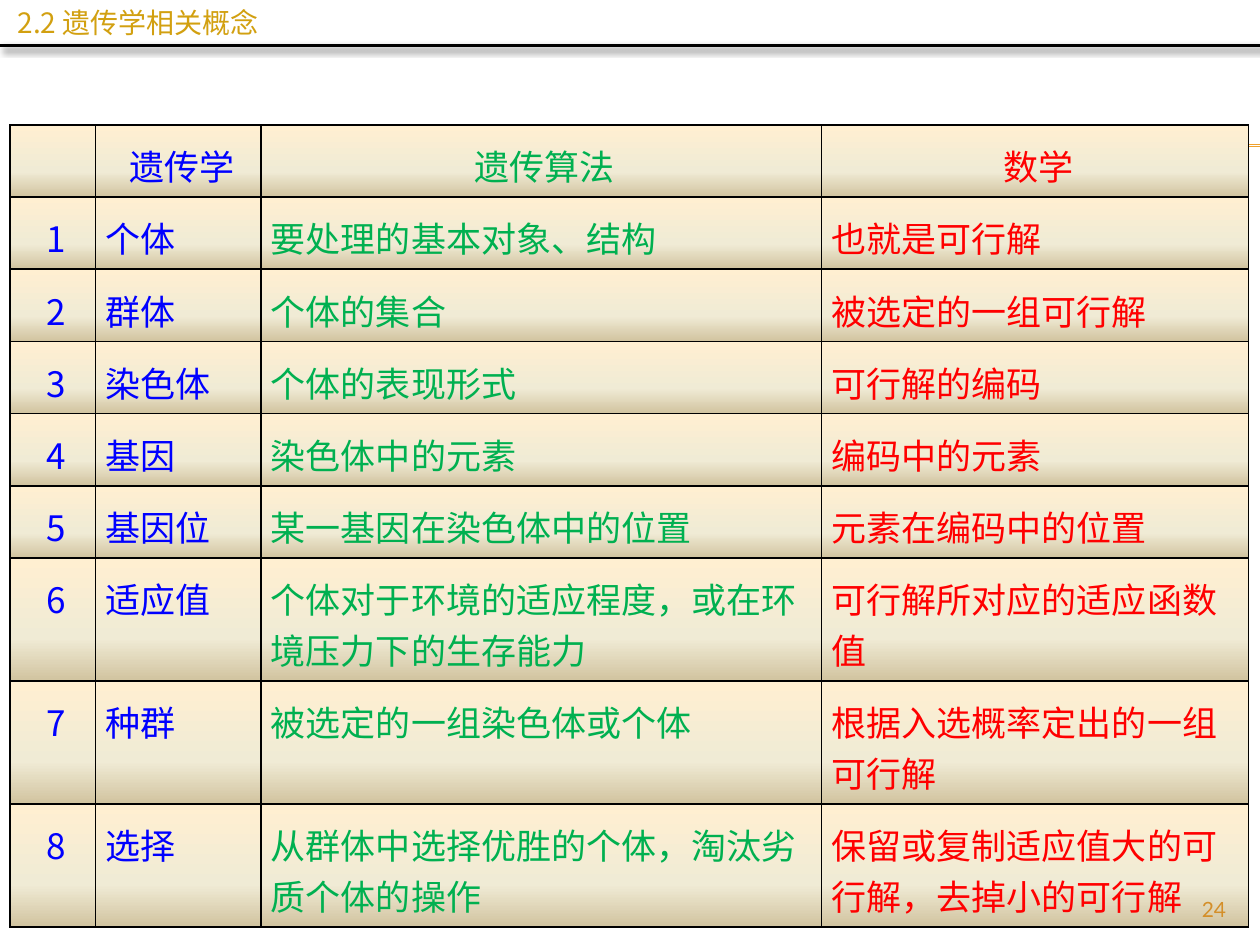
from dataclasses import dataclass

from lxml.etree import SubElement
from pptx import Presentation
from pptx.dml.color import RGBColor
from pptx.enum.shapes import MSO_CONNECTOR as Connector
from pptx.enum.text import MSO_ANCHOR as Anchor, MSO_AUTO_SIZE as AutoSize, PP_ALIGN as Align
from pptx.oxml.ns import qn
from pptx.util import Emu, Inches, Pt

WIDTH, HEIGHT = Inches(10), Inches(7.5)
CELL_FONT, TITLE_FONT, NUMBER_FONT = "Noto Sans CJK SC", "Noto Sans CJK JP", "Lato"

BLACK = RGBColor(0x00, 0x00, 0x00)
BLUE = RGBColor(0x00, 0x00, 0xFF)
GREEN = RGBColor(0x00, 0xB0, 0x50)
RED = RGBColor(0xFF, 0x00, 0x00)
GOLD = RGBColor(0xD2, 0xA0, 0x10)
OCHRE = RGBColor(0xD4, 0x8F, 0x29)
ORANGE = RGBColor(0xF0, 0xA2, 0x2E)
# Position in percent and colour of each stop, from top to bottom of a cell
CELL_GRADIENT = (
    (0, RGBColor(0xFF, 0xEF, 0xD1)),
    (65, RGBColor(0xF0, 0xEB, 0xD5)),
    (100, RGBColor(0xD1, 0xC3, 0x9F)),
)


@dataclass(frozen=True)
class Column:
    heading: str
    share: float  # of the slide's width
    color: RGBColor
    align: Align = Align.LEFT


@dataclass(frozen=True)
class Rule:
    left: float  # shares of the slide's size
    top: float
    color: RGBColor
    weight: float
    shadow: bool = False


COLUMNS = (
    Column("", 0.068, BLUE, Align.CENTER),
    Column("遗传学", 0.131, BLUE),
    Column("遗传算法", 0.445, GREEN),
    Column("数学", 0.339, RED),
)
CONCEPTS = (
    ("个体", "要处理的基本对象、结构", "也就是可行解"),
    ("群体", "个体的集合", "被选定的一组可行解"),
    ("染色体", "个体的表现形式", "可行解的编码"),
    ("基因", "染色体中的元素", "编码中的元素"),
    ("基因位", "某一基因在染色体中的位置", "元素在编码中的位置"),
    ("适应值", "个体对于环境的适应程度，或在环境压力下的生存能力", "可行解所对应的适应函数值"),
    ("种群", "被选定的一组染色体或个体", "根据入选概率定出的一组可行解"),
    ("选择", "从群体中选择优胜的个体，淘汰劣质个体的操作", "保留或复制适应值大的可行解，去掉小的可行解"),
)
SHORT_ROWS = 6  # the heading and the first five concepts take one line
BACK_RULES = (Rule(0.056, 0.153, ORANGE, 0.75), Rule(0.056, 0.155, ORANGE, 0.75))
TITLE_RULE = Rule(0, 0.048, BLACK, 2, shadow=True)


def across(share: float) -> Emu:
    return Emu(round(WIDTH * share))


def down(share: float) -> Emu:
    return Emu(round(HEIGHT * share))


def add_color(parent, color: RGBColor):
    return SubElement(parent, qn("a:srgbClr"), val=str(color))


def write(frame, text: str, size: float, font: str, color: RGBColor, align: Align) -> None:
    frame.text = text
    para = frame.paragraphs[0]
    para.alignment = align
    for span in para.runs:
        span.font.size = Pt(size)
        span.font.color.rgb = color
        span.font.name = font
        SubElement(span.font._element, qn("a:ea"), typeface=font)


def draw_rule(page, rule: Rule) -> None:
    top = down(rule.top)
    line = page.shapes.add_connector(Connector.STRAIGHT, across(rule.left), top, WIDTH, top)
    line.line.color.rgb = rule.color
    line.line.width = Pt(rule.weight)
    effects = SubElement(line._element.spPr, qn("a:effectLst"))
    if rule.shadow:
        shadow = SubElement(effects, qn("a:outerShdw"), blurRad=str(Pt(4)), dist=str(Pt(3)),
                            dir=str(45 * 60000), rotWithShape="0")
        SubElement(add_color(shadow, BLACK), qn("a:alpha"), val="40000")


def style_cell(cell) -> None:
    cell.margin_left, cell.margin_top = Inches(0.08), Inches(0.12)
    cell.margin_right, cell.margin_bottom = Inches(0.02), Inches(0.05)
    properties = cell._tc.get_or_add_tcPr()
    # Borders come before the fill
    for side in ("lnL", "lnR", "lnT", "lnB"):
        border = SubElement(properties, qn(f"a:{side}"), w=str(Pt(1)))
        add_color(SubElement(border, qn("a:solidFill")), BLACK)
    gradient = SubElement(properties, qn("a:gradFill"), rotWithShape="1")
    stops = SubElement(gradient, qn("a:gsLst"))
    for percent, color in CELL_GRADIENT:
        add_color(SubElement(stops, qn("a:gs"), pos=str(percent * 1000)), color)
    SubElement(gradient, qn("a:lin"), ang=str(90 * 60000), scaled="0")


def draw_concepts(page) -> None:
    rows = [[column.heading for column in COLUMNS]]
    rows += [[str(number), *concept] for number, concept in enumerate(CONCEPTS, 1)]
    width = across(sum(column.share for column in COLUMNS))
    table = page.shapes.add_table(len(rows), len(COLUMNS), across(0.008), down(0.132),
                                  width, down(0.736)).table
    table.first_row = table.horz_banding = False
    for index, column in enumerate(COLUMNS):
        table.columns[index].width = across(column.share)
    for r, texts in enumerate(rows):
        table.rows[r].height = Inches(0.5 if r < SHORT_ROWS else 0.84)
        for c, (column, text) in enumerate(zip(COLUMNS, texts)):
            cell = table.cell(r, c)
            style_cell(cell)
            align = Align.CENTER if r == 0 else column.align
            write(cell.text_frame, text, 20, CELL_FONT, column.color, align)


def draw_number(page) -> None:
    box = page.shapes.add_textbox(across(0.9), down(0.944), across(0.083), down(0.036))
    box.text_frame.word_wrap = True
    box.text_frame.vertical_anchor = Anchor.MIDDLE
    write(box.text_frame, "24", 12, NUMBER_FONT, OCHRE, Align.RIGHT)


def draw_title(page) -> None:
    title = page.shapes.title
    title.left, title.top = across(0.004), down(-0.001)
    title.width, title.height = across(0.551), down(0.049)
    title.text_frame.auto_size = AutoSize.NONE
    title.text_frame.vertical_anchor = Anchor.MIDDLE
    write(title.text_frame, "2.2 遗传学相关概念", 16, TITLE_FONT, GOLD, Align.LEFT)


def main() -> None:
    deck = Presentation()
    deck.slide_width, deck.slide_height = WIDTH, HEIGHT
    page = deck.slides.add_slide(deck.slide_layouts.get_by_name("Title Only"))
    for rule in BACK_RULES:
        draw_rule(page, rule)
    draw_concepts(page)
    draw_number(page)
    draw_title(page)
    draw_rule(page, TITLE_RULE)
    deck.save("out.pptx")


if __name__ == "__main__":
    main()
